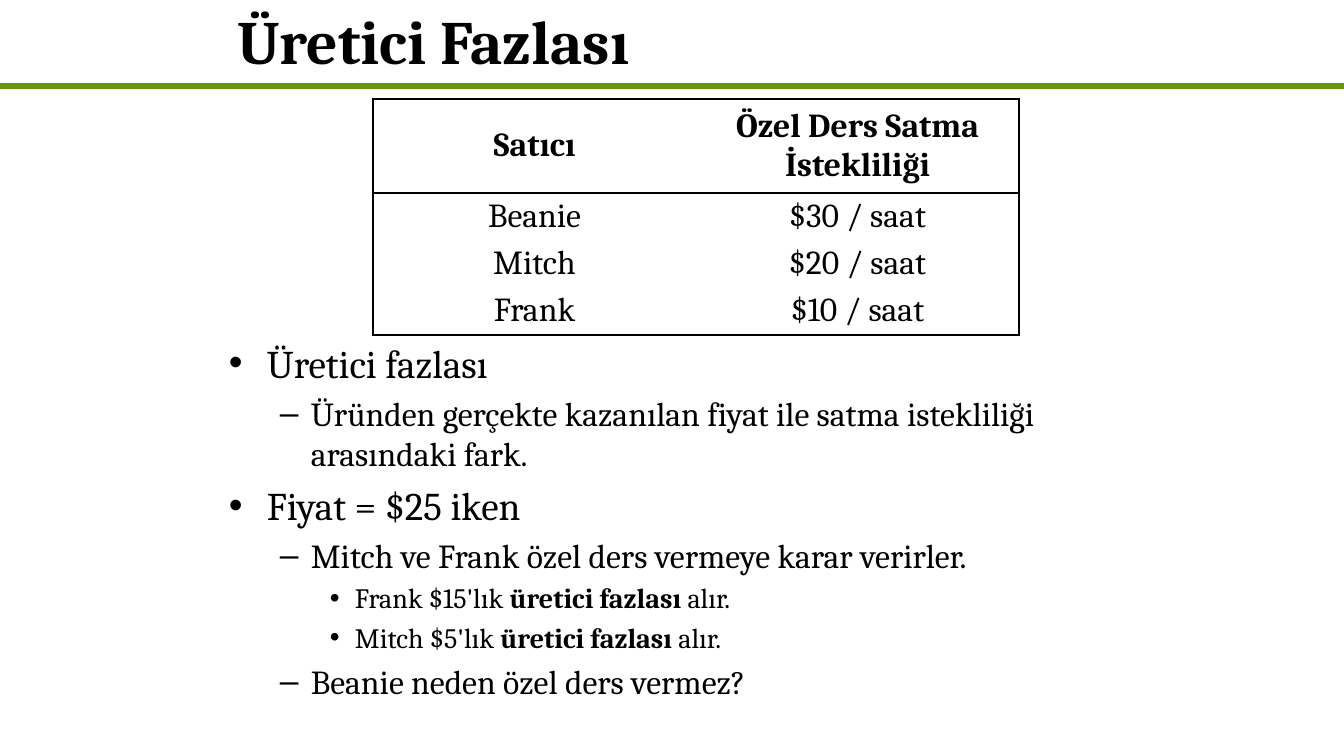
from lxml.etree import SubElement
from pptx import Presentation
from pptx.dml.color import RGBColor
from pptx.enum.text import MSO_ANCHOR, MSO_AUTO_SIZE, PP_ALIGN
from pptx.oxml import parse_xml
from pptx.oxml.ns import nsdecls, qn
from pptx.util import Pt

PX = 914400 / 100.8
BLACK = RGBColor(0, 0, 0)
GREEN = RGBColor(0x66, 0x99, 0x00)


def box(*sizes):
    return [round(size * PX) for size in sizes]


def style(para, size, bold=False):
    font = para.font
    font.name = "Cambria"
    font.size = Pt(size)
    font.bold = bold
    font.color.rgb = BLACK


deck = Presentation()
deck.slide_width, deck.slide_height = box(1344, 756)
slide = deck.slides.add_slide(deck.slide_layouts[5])
shapes = slide.shapes

left, top, right, low = box(0, 86, 1344, 86)
rule = shapes.add_connector(1, left, top, right, low)
rule.line.color.rgb = GREEN
rule.line.width = Pt(4.5)
SubElement(rule.element.spPr, qn("a:effectLst"))

title = shapes.title
title.left, title.top, title.width, title.height = box(227, 0, 848, 80)
frame = title.text_frame
frame.text = "Üretici Fazlası"
frame.auto_size = MSO_AUTO_SIZE.NONE
frame.vertical_anchor = MSO_ANCHOR.MIDDLE
frame.paragraphs[0].alignment = PP_ALIGN.LEFT
style(frame.paragraphs[0], 44, True)

LEVELS = [(28, 38, 38, "•"), (24, 82, 31, "–"), (20, 126, 25, "•")]
POINTS = [
    (0, ["Üretici fazlası"]),
    (1, ["Üründen gerçekte kazanılan fiyat ile satma istekliliği arasındaki fark."]),
    (0, ["Fiyat = $25 iken"]),
    (1, ["Mitch ve Frank özel ders vermeye karar verirler."]),
    (2, ["Frank $15'lık ", "üretici fazlası", " alır."]),
    (2, ["Mitch $5'lık ", "üretici fazlası", " alır."]),
    (1, ["Beanie neden özel ders vermez?"]),
]
body = shapes.add_textbox(*box(219, 334, 907, 342)).text_frame
body.word_wrap = True
for num, (level, parts) in enumerate(POINTS):
    size, margin, hang, mark = LEVELS[level]
    para = body.add_paragraph() if num else body.paragraphs[0]
    para.level = level
    props = para._p.get_or_add_pPr()
    indent, back = box(margin, -hang)
    props.set("marL", str(indent))
    props.set("indent", str(back))
    SubElement(props, qn("a:buFont"), typeface="Arial")
    SubElement(props, qn("a:buChar"), char=mark)
    if num:
        para.space_before = Pt(size * 0.2)
    style(para, size)
    for spot, text in enumerate(parts):
        run = para.add_run()
        run.text = text
        if spot == 1:
            run.font.bold = True

ROWS = [
    ("Satıcı", "Özel Ders Satma İstekliliği"),
    ("Beanie", "$30 / saat"),
    ("Mitch", "$20 / saat"),
    ("Frank", "$10 / saat"),
]
table = shapes.add_table(4, 2, *box(373, 99, 646, 236)).table
table.first_row = False
table.horz_banding = False
for col, width in zip(table.columns, box(323, 323)):
    col.width = width
for row, height in zip(table.rows, box(94, 47, 47, 48)):
    row.height = height
for r, row in enumerate(ROWS):
    for c, text in enumerate(row):
        cell = table.cell(r, c)
        cell.text = text
        cell.fill.background()
        cell.vertical_anchor = MSO_ANCHOR.MIDDLE
        cell.margin_left, cell.margin_right = box(7, 7)
        cell.margin_top = cell.margin_bottom = 0
        para = cell.text_frame.paragraphs[0]
        para.alignment = PP_ALIGN.CENTER
        style(para, 24, r == 0)
        edges = [("L", c == 0), ("R", c == 1), ("T", r < 2), ("B", r in (0, 3))]
        props = cell._tc.get_or_add_tcPr()
        for spot, (side, drawn) in enumerate(edges):
            paint = f'<a:solidFill><a:srgbClr val="{BLACK}"/></a:solidFill>' if drawn else "<a:noFill/>"
            props.insert(spot, parse_xml(
                f'<a:ln{side} {nsdecls("a")} w="{Pt(1)}">{paint}</a:ln{side}>'))

deck.save("out.pptx")
